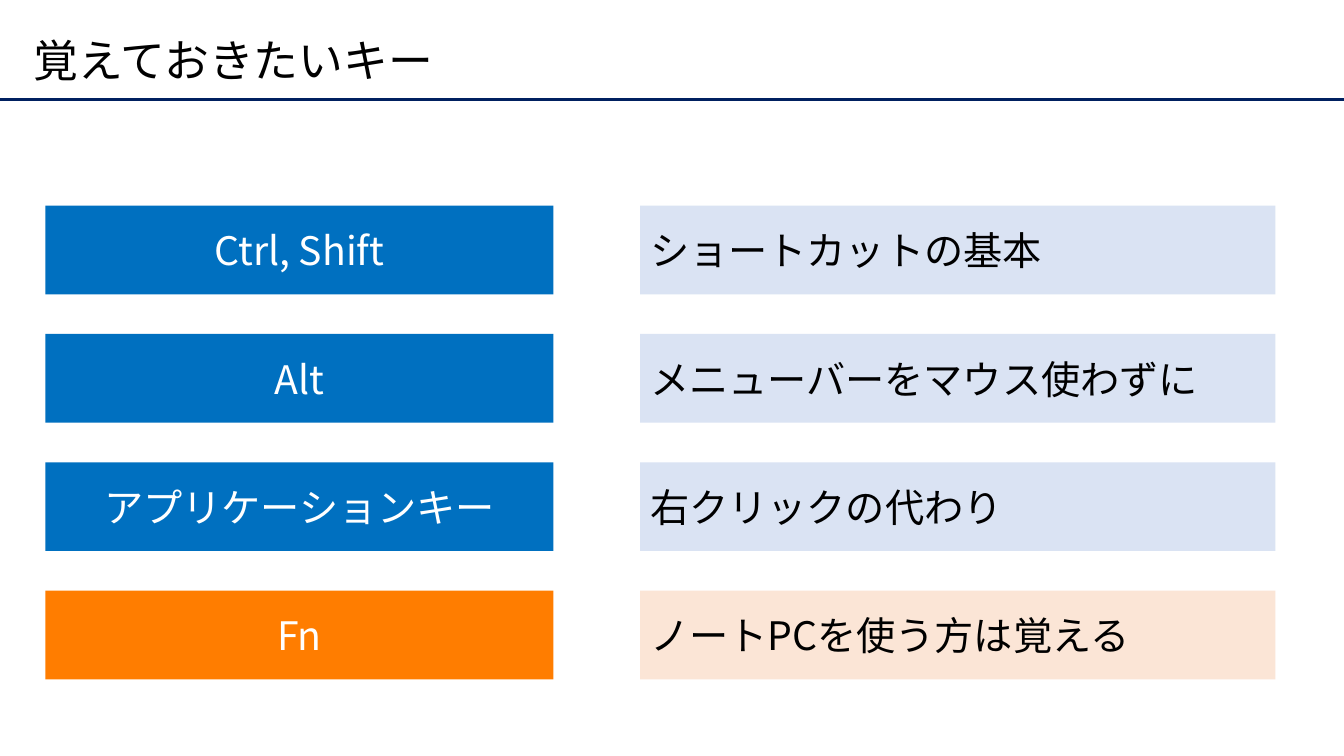
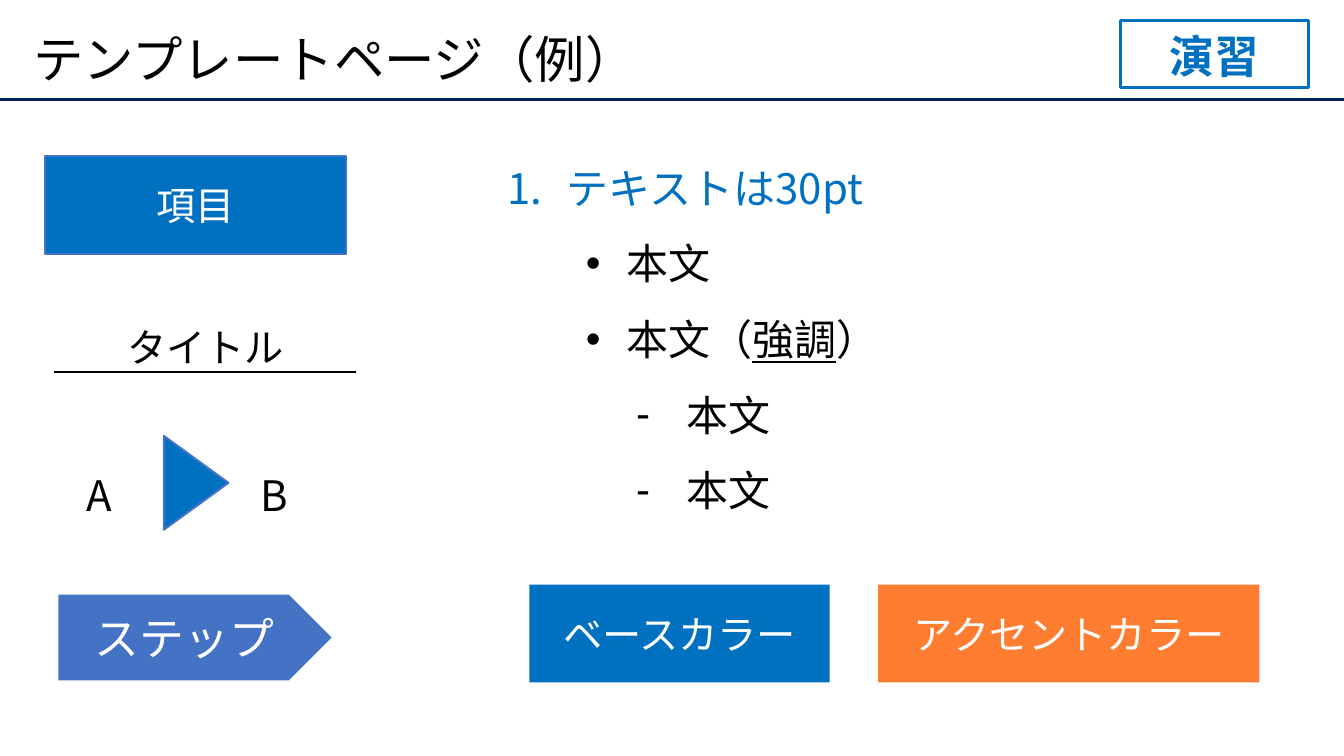
"""Build two slides: keys worth remembering, and a sample template page."""
import lxml.etree
import pptx
import pptx.dml.color
import pptx.enum.shapes
import pptx.enum.text
import pptx.oxml.ns
import pptx.util

Inches = pptx.util.Inches
SHAPE = pptx.enum.shapes.MSO_SHAPE
ALIGN = pptx.enum.text.PP_ALIGN
ANCHOR = pptx.enum.text.MSO_ANCHOR
qn = pptx.oxml.ns.qn

FONT = "Noto Sans CJK JP"
COLOURS = {
    "rule": "002060", "base": "0070C0", "edge": "4472C4", "accent": "FF7D00",
    "sample_accent": "FF7D31", "pale_base": "DAE3F3", "pale_accent": "FBE5D6",
    "ink": "000000", "paper": "FFFFFF",
}
TITLE_ONLY, TITLE_AND_BODY = 5, 1


class Deck:
    def __init__(self):
        self.presentation = pptx.Presentation()
        self.presentation.slide_width = Inches(13.33)
        self.presentation.slide_height = Inches(7.5)
        self.slide = None

    def colour(self, name):
        return pptx.dml.color.RGBColor.from_string(COLOURS[name])

    def place(self, element, box):
        element.left, element.top, element.width, element.height = map(Inches, box)

    def style(self, paragraph, size, colour, align=ALIGN.LEFT, spacing=None, bold=False):
        paragraph.alignment = align
        paragraph.line_spacing = spacing
        for run in paragraph.runs:
            run.font.name = FONT
            run.font.size = pptx.util.Pt(size)
            run.font.bold = bold
            run.font.color.rgb = self.colour(colour)
            lxml.etree.SubElement(run.font._element, qn("a:ea"), typeface=FONT)

    def outline(self, line, colour, width):
        line.color.rgb = self.colour(colour)
        line.width = pptx.util.Pt(width)

    def start(self, title, size, layout=TITLE_ONLY):
        layouts = self.presentation.slide_layouts
        self.slide = self.presentation.slides.add_slide(layouts[layout])
        self.rule(self.slide.shapes, 0, 13.33, 0.99, "rule", 2.25)
        heading = self.slide.shapes.title
        self.place(heading, (0.23, 0.2, 12.6, 0.84))
        heading.text_frame.text = title
        heading.text_frame.vertical_anchor = ANCHOR.MIDDLE
        self.style(heading.text_frame.paragraphs[0], size, "ink", spacing=0.9)

    def rule(self, shapes, left, right, y, colour, width):
        straight = pptx.enum.shapes.MSO_CONNECTOR.STRAIGHT
        line = shapes.add_connector(
            straight, Inches(left), Inches(y), Inches(right), Inches(y))
        self.outline(line.line, colour, width)
        lxml.etree.SubElement(line._element.spPr, qn("a:effectLst"))

    def block(self, box, fill, text="", kind=SHAPE.RECTANGLE, size=28, colour="paper",
              align=ALIGN.CENTER, anchor=ANCHOR.MIDDLE, edge=None, edge_width=1.5,
              bold=False):
        shape = self.slide.shapes.add_shape(kind, *map(Inches, box))
        shape.shadow.inherit = False
        if fill:
            shape.fill.solid()
            shape.fill.fore_color.rgb = self.colour(fill)
        else:
            shape.fill.background()
        if edge:
            self.outline(shape.line, edge, edge_width)
        else:
            shape.line.fill.background()
        if text:
            shape.text_frame.text = text
            shape.text_frame.vertical_anchor = anchor
            self.style(shape.text_frame.paragraphs[0], size, colour, align, bold=bold)
        return shape

    def label(self, shapes, box, text, size, align=ALIGN.LEFT, spacing=None):
        frame = shapes.add_textbox(*map(Inches, box)).text_frame
        frame.word_wrap = True
        frame.text = text
        self.style(frame.paragraphs[0], size, "ink", align, spacing)

    def underlined_title(self, text):
        group = self.slide.shapes.add_group_shape()
        self.label(group.shapes, (0.45, 3.16, 3.18, 0.57), text, 28, ALIGN.CENTER)
        self.rule(group.shapes, 0.54, 3.53, 3.69, "ink", 1.5)

    def outline_list(self, box, items):
        levels = [
            (0.59, -0.59, "a:buAutoNum", {"type": "arabicPeriod"}, "base"),
            (1.18, -0.4, "a:buChar", {"char": "•"}, "ink"),
            (1.78, -0.5, "a:buChar", {"char": "‐"}, "ink"),
        ]
        body = self.slide.placeholders[1]
        self.place(body, box)
        frame = body.text_frame
        frame.auto_size = pptx.enum.text.MSO_AUTO_SIZE.NONE
        frame.text = "\n".join("".join(parts) for _, parts in items)
        for paragraph, (level, parts) in zip(frame.paragraphs, items):
            margin, indent, tag, bullet, colour = levels[level]
            paragraph.level = level
            properties = paragraph._p.get_or_add_pPr()
            properties.set("marL", str(Inches(margin)))
            properties.set("indent", str(Inches(indent)))
            lxml.etree.SubElement(properties, qn(tag), bullet)
            paragraph.space_before = pptx.util.Pt(0)
            paragraph.text = parts[0]
            for part in parts[1:]:
                paragraph.add_run().text = part
            self.style(paragraph, 30, colour, spacing=1.5)
            for emphasis in paragraph.runs[1::2]:
                emphasis.font.underline = True


def build_keys(deck):
    deck.start("覚えておきたいキー", 32)
    keys = [
        ("Ctrl, Shift", "ショートカットの基本", "base", "pale_base"),
        ("Alt", "メニューバーをマウス使わずに", "base", "pale_base"),
        ("アプリケーションキー", "右クリックの代わり", "base", "pale_base"),
        ("Fn", "ノートPCを使う方は覚える", "accent", "pale_accent"),
    ]
    first_top, last_top = 2.04, 5.86
    pitch = (last_top - first_top) / (len(keys) - 1)
    for row, (key, use, key_fill, use_fill) in enumerate(keys):
        top = first_top + row * pitch
        deck.block((0.45, top, 5.04, 0.88), key_fill, key)
        deck.block((6.35, top, 6.3, 0.88), use_fill, use, colour="ink", align=ALIGN.LEFT)


def build_template(deck):
    deck.start("テンプレートページ（例）", 36, TITLE_AND_BODY)
    deck.block((0.45, 1.55, 2.98, 0.97), "base", "項目", edge="edge")
    deck.underlined_title("タイトル")
    deck.block((0.58, 5.9, 2.71, 0.85), "edge", "ステップ", SHAPE.PENTAGON, size=32)
    arrow = deck.block((1.48, 4.47, 0.93, 0.64), "base",
                       kind=SHAPE.ISOSCELES_TRIANGLE, edge="edge")
    arrow.rotation = 90
    for left, state in ((0.76, "A"), (2.49, "B")):
        deck.label(deck.slide.shapes, (left, 4.36, 0.49, 0.95), state, 30, spacing=1.5)
    deck.outline_list((4.93, 1.31, 5.84, 3.81), [
        (0, ["テキストは30pt"]),
        (1, ["本文"]),
        (1, ["本文（", "強調", "）"]),
        (2, ["本文"]),
        (2, ["本文"]),
    ])
    deck.block((5.25, 5.8, 2.98, 0.97), "base", "ベースカラー")
    deck.block((8.71, 5.8, 3.78, 0.97), "sample_accent", "アクセントカラー")
    deck.block((11.11, 0.2, 1.87, 0.67), None, "演習", size=32, colour="base",
               anchor=ANCHOR.BOTTOM, edge="base", edge_width=2.25, bold=True)


def main():
    deck = Deck()
    build_keys(deck)
    build_template(deck)
    deck.presentation.save("out.pptx")


if __name__ == "__main__":
    main()
